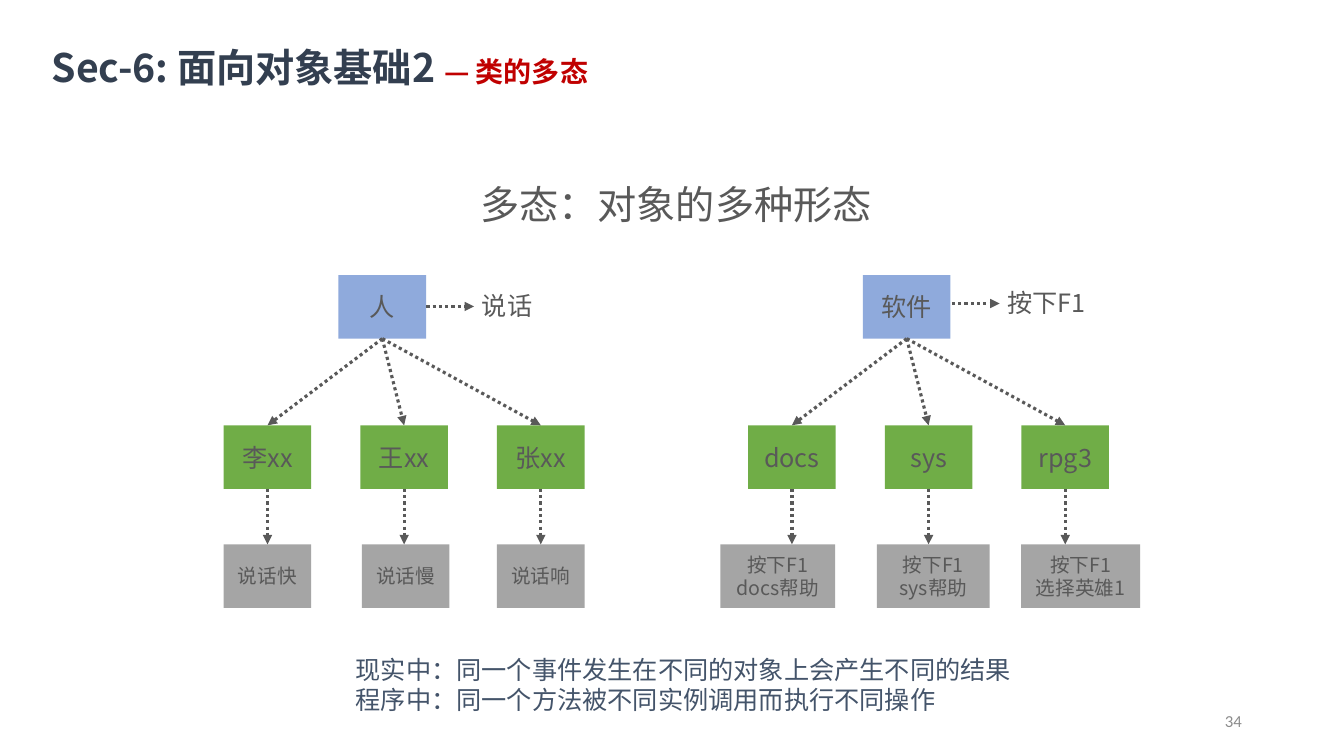
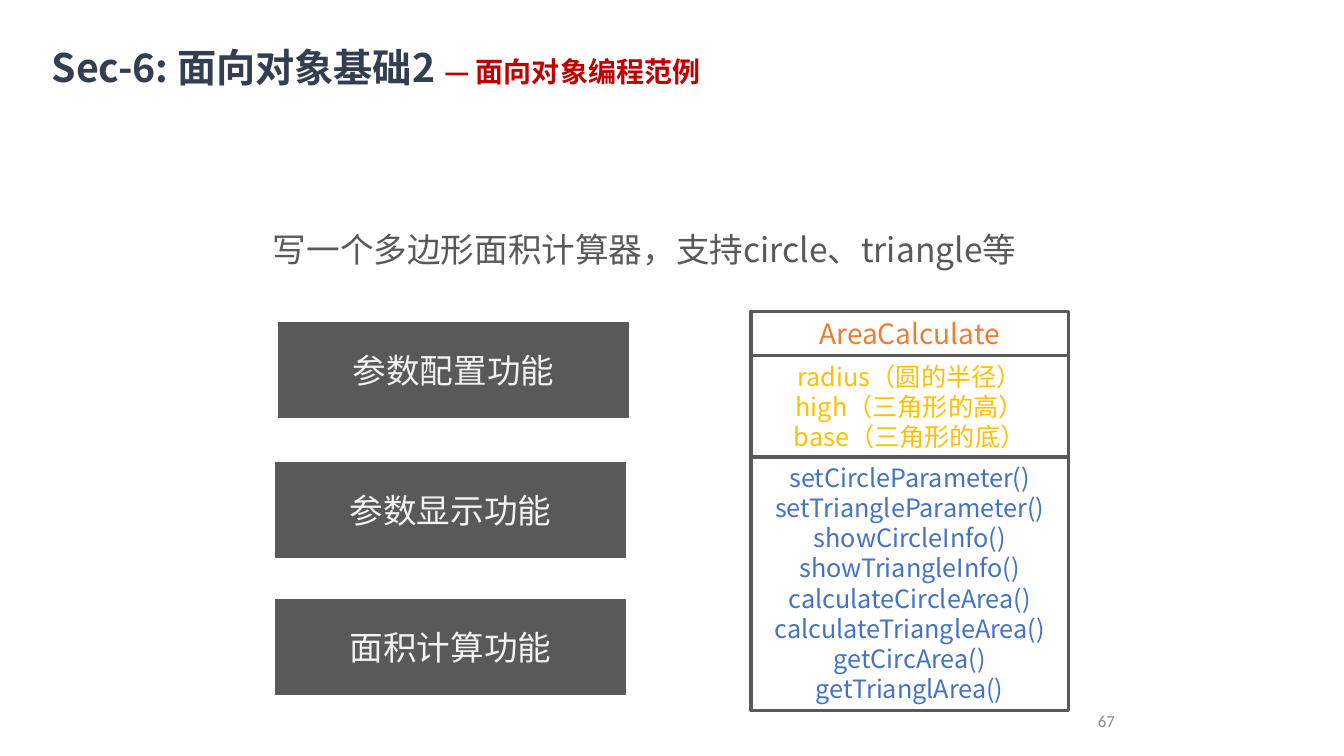
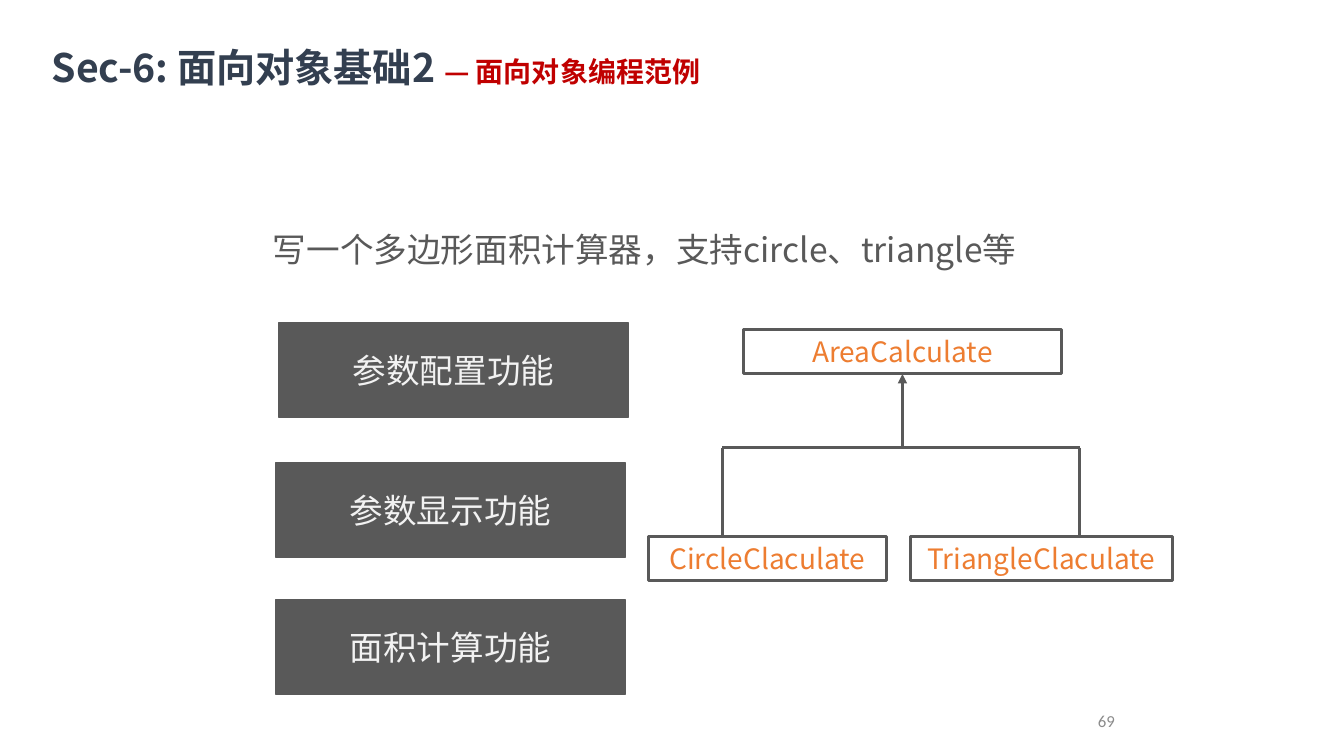
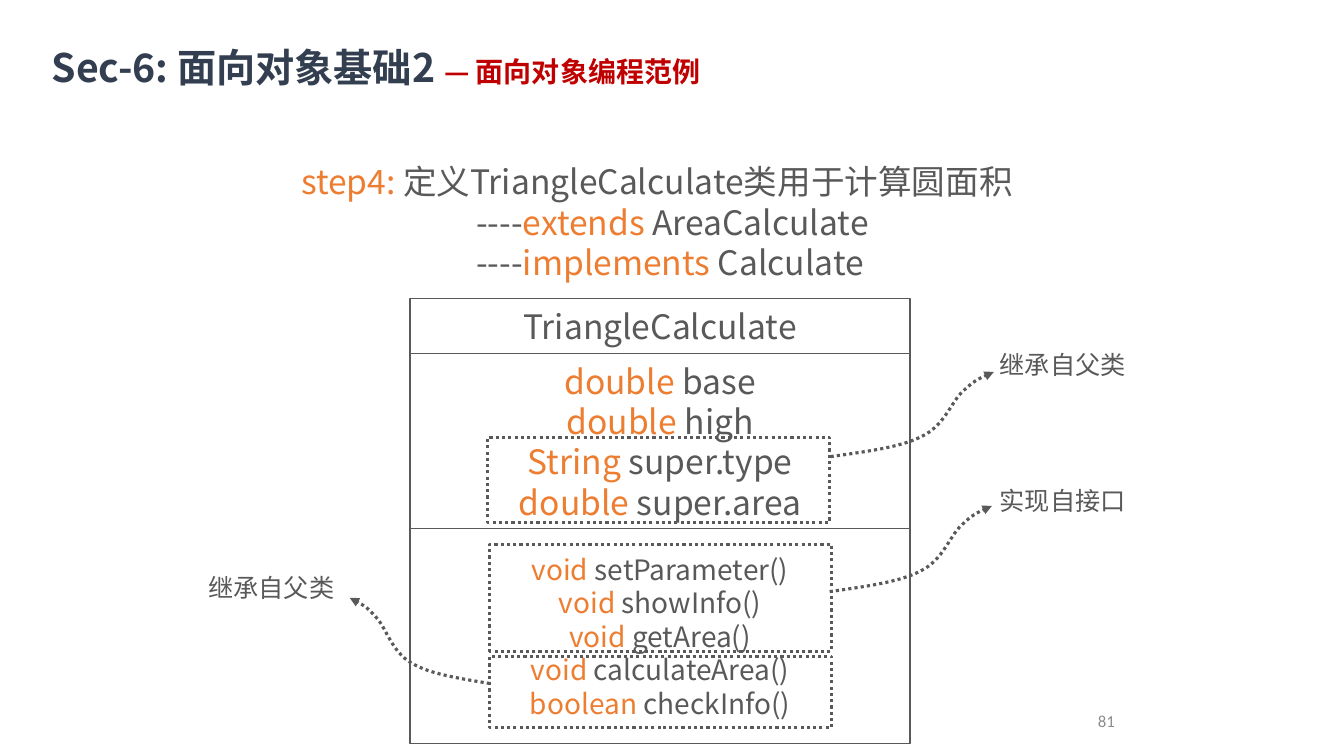
from dataclasses import dataclass
from typing import NamedTuple, Optional, Sequence, Union

from lxml import etree
from pptx import Presentation
from pptx.dml.color import RGBColor
from pptx.enum.dml import MSO_LINE
from pptx.enum.shapes import MSO_CONNECTOR, MSO_SHAPE
from pptx.enum.text import MSO_ANCHOR, PP_ALIGN
from pptx.oxml.ns import qn
from pptx.util import Pt

RECTANGLE = MSO_SHAPE.RECTANGLE
STRAIGHT = MSO_CONNECTOR.STRAIGHT
DOTTED = MSO_LINE.ROUND_DOT
LEFT, CENTER, RIGHT = PP_ALIGN.LEFT, PP_ALIGN.CENTER, PP_ALIGN.RIGHT
TOP, MIDDLE = MSO_ANCHOR.TOP, MSO_ANCHOR.MIDDLE

FONT = "Noto Sans CJK SC"
NUMBER_FONT = "Calibri"
COLORS = {
    "title": "333F50",
    "topic": "C00000",
    "text": "595959",
    "note": "44546A",
    "number": "8C8C8C",
    "light": "F2F2F2",
    "root": "8FAADC",
    "leaf": "70AD47",
    "result": "A5A5A5",
    "keyword": "ED7D31",
    "field": "FFC000",
    "method": "4472C4",
}


class Span(NamedTuple):
    text: str
    color: str = "text"
    size: Optional[float] = None


class Box(NamedTuple):
    left: float
    top: float
    width: float
    height: float


class Point(NamedTuple):
    x: float
    y: float


Line = Union[str, Sequence[Span]]


@dataclass
class Style:
    size: float
    color: str = "text"
    align: PP_ALIGN = CENTER
    anchor: MSO_ANCHOR = TOP
    font: str = FONT
    bold: bool = False


@dataclass
class Branch:
    name: str
    results: Sequence[str]
    result_left: float
    result_width: float


@dataclass
class Tree:
    root: str
    shift: float
    action: str
    arrow_start: float
    arrow_y: float
    branches: Sequence[Branch]


def rgb(name: str) -> RGBColor:
    return RGBColor.from_string(COLORS[name])


# Text and shapes
def write(shape, lines: Sequence[Line], style: Style) -> None:
    frame = shape.text_frame
    frame.word_wrap = True
    frame.vertical_anchor = style.anchor
    for index, line in enumerate(lines):
        paragraph = frame.paragraphs[0] if index == 0 else frame.add_paragraph()
        paragraph.alignment = style.align
        spans = [Span(line, style.color)] if isinstance(line, str) else line
        font = paragraph.font
        font.name, font.size, font.bold = style.font, Pt(style.size), style.bold
        font.color.rgb = rgb(spans[0].color)
        defaults = paragraph._p.pPr.find(qn("a:defRPr"))
        etree.SubElement(defaults, qn("a:ea")).set("typeface", style.font)
        for span in spans:
            run = paragraph.add_run()
            run.text = span.text
            if span.color != spans[0].color:
                run.font.color.rgb = rgb(span.color)
            if span.size:
                run.font.size = Pt(span.size)


def add_text(slide, box: Box, lines: Sequence[Line], style: Style):
    shape = slide.shapes.add_textbox(*map(Pt, box))
    write(shape, lines, style)
    return shape


def add_box(slide, box: Box, lines: Sequence[Line] = (), style: Style = Style(18),
            fill: Optional[str] = None, line: Optional[float] = None,
            dotted: bool = False) -> None:
    shape = slide.shapes.add_shape(RECTANGLE, *map(Pt, box))
    shape.shadow.inherit = False
    if fill:
        shape.fill.solid()
        shape.fill.fore_color.rgb = rgb(fill)
    else:
        shape.fill.background()
    if line:
        draw_line(shape, line, dotted)
    else:
        shape.line.fill.background()
    if lines:
        write(shape, lines, style)


def draw_line(shape, width: float = 2.25, dotted: bool = False, arrow: bool = False) -> None:
    shape.line.color.rgb = rgb("text")
    shape.line.width = Pt(width)
    if dotted:
        shape.line.dash_style = DOTTED
    if arrow:
        outline = shape.element.spPr.find(qn("a:ln"))
        etree.SubElement(outline, qn("a:tailEnd")).set("type", "triangle")


def connect(slide, start: Point, end: Point, dotted: bool = True, arrow: bool = True) -> None:
    connector = slide.shapes.add_connector(STRAIGHT, *map(Pt, (*start, *end)))
    draw_line(connector, dotted=dotted, arrow=arrow)
    etree.SubElement(connector.element.spPr, qn("a:effectLst"))


# Bezier points as fractions of the way from start to end
S_CURVE = [(0.22, 0.06), (0.43, 0.11), (0.56, 0.24), (0.7, 0.37), (0.74, 0.65),
           (0.81, 0.77), (0.88, 0.9), (0.94, 0.95), (1, 1)]


def add_curve(slide, start: Point, end: Point) -> None:
    points = [(Pt(start.x + (end.x - start.x) * across), Pt(start.y + (end.y - start.y) * down))
              for across, down in S_CURVE]
    builder = slide.shapes.build_freeform(Pt(start.x), Pt(start.y))
    builder.add_line_segments(points, close=False)
    shape = builder.convert_to_shape()
    # Every three straight segments become one cubic segment
    outline = next(shape.element.iter(qn("a:path")))
    segments = outline.findall(qn("a:lnTo"))
    for first in range(0, len(segments), 3):
        cubic = etree.SubElement(outline, qn("a:cubicBezTo"))
        for segment in segments[first:first + 3]:
            cubic.append(segment[0])
            outline.remove(segment)
    shape.shadow.inherit = False
    shape.fill.background()
    draw_line(shape, dotted=True, arrow=True)


# Title and page number of every slide
def new_slide(presentation, topic: str, number: str, number_right: float = 803.5):
    slide = presentation.slides.add_slide(presentation.slide_layouts[6])
    title = add_text(slide, Box(36, 30.2, 523.4, 34.6),
                     [[Span("Sec-6: 面向对象基础2 ", "title"), Span("— " + topic, "topic", 20)]],
                     Style(28, align=LEFT, bold=True))
    frame = title.text_frame
    frame.margin_left = frame.margin_top = Pt(0.9)
    frame.margin_right = frame.margin_bottom = 0
    add_text(slide, Box(number_right - 168, 500.4, 168, 28.8), [number],
             Style(12, "number", RIGHT, MIDDLE, NUMBER_FONT))
    return slide


# Slide 1: polymorphism trees
NODE_WIDTH, NODE_HEIGHT = 62.6, 45.4
ROOT_LEFT, ROOT_TOP = 241.8, 196.5
LEAF_LEFT, LEAF_TOP, LEAF_STEP = 159.8, 303.8, 97.6
RESULT_TOP = 388.8
TREES = [
    Tree("人", 0, "说话", 304.6, 218.9, [
        Branch("李xx", ["说话快"], 159.8, NODE_WIDTH),
        Branch("王xx", ["说话慢"], 258.5, NODE_WIDTH),
        Branch("张xx", ["说话响"], 355, NODE_WIDTH)]),
    Tree("软件", 374.6, "按下F1", 680, 216.8, [
        Branch("docs", ["按下F1", "docs帮助"], 514.6, 82),
        Branch("sys", ["按下F1", "sys帮助"], 626.4, 80.6),
        Branch("rpg3", ["按下F1", "选择英雄1"], 729.4, 85)]),
]


def draw_tree(slide, tree: Tree) -> None:
    node_style = Style(18, anchor=MIDDLE)
    root = Box(ROOT_LEFT + tree.shift, ROOT_TOP, NODE_WIDTH, NODE_HEIGHT)
    add_box(slide, root, [tree.root], node_style, "root")
    root_foot = Point(root.left + NODE_WIDTH / 2, ROOT_TOP + NODE_HEIGHT)
    for index, branch in enumerate(tree.branches):
        left = LEAF_LEFT + tree.shift + index * LEAF_STEP
        center = left + NODE_WIDTH / 2
        add_box(slide, Box(left, LEAF_TOP, NODE_WIDTH, NODE_HEIGHT), [branch.name],
                node_style, "leaf")
        add_box(slide, Box(branch.result_left, RESULT_TOP, branch.result_width, NODE_HEIGHT),
                branch.results, Style(14, anchor=MIDDLE), "result")
        connect(slide, root_foot, Point(center, LEAF_TOP))
        connect(slide, Point(center, LEAF_TOP + NODE_HEIGHT), Point(center, RESULT_TOP))
    arrow_end = Point(tree.arrow_start + 34, tree.arrow_y)
    connect(slide, Point(tree.arrow_start, tree.arrow_y), arrow_end)
    add_text(slide, Box(arrow_end.x - 1.4, tree.arrow_y - 14.8, 79.2, 28.8), [tree.action],
             Style(18, align=LEFT))


def polymorphism_slide(presentation) -> None:
    slide = new_slide(presentation, "类的多态", "34", 894.2)
    add_text(slide, Box(281.5, 125.3, 402.5, 41), ["多态：对象的多种形态"], Style(28))
    for tree in TREES:
        draw_tree(slide, tree)
    add_text(slide, Box(247, 463.7, 516.2, 51.1),
             ["现实中：同一个事件发生在不同的对象上会产生不同的结果",
              "程序中：同一个方法被不同实例调用而执行不同操作"],
             Style(18, "note", LEFT))


# Slides 2 and 3: area calculator
EXAMPLE_TOPIC = "面向对象编程范例"
FEATURES = [
    ("参数配置功能", Point(199.4, 230.4)),
    ("参数显示功能", Point(197.3, 330.5)),
    ("面积计算功能", Point(197.3, 428.4)),
]
CLASS_STYLE = Style(20, "keyword")


def calculator_slide(presentation, number: str):
    slide = new_slide(presentation, EXAMPLE_TOPIC, number)
    add_text(slide, Box(168.5, 159.8, 584, 36),
             ["写一个多边形面积计算器，支持circle、triangle等"], Style(24))
    for name, corner in FEATURES:
        add_box(slide, Box(*corner, 249.1, 67.7), [name],
                Style(24, "light", anchor=MIDDLE), "text", 1)
    return slide


def single_class_slide(presentation) -> None:
    slide = calculator_slide(presentation, "67")
    sections = [
        (222.5, 31.7, CLASS_STYLE, ["AreaCalculate"]),
        (254.2, 72.4, Style(18, "field"),
         ["radius（圆的半径）", "high（三角形的高）", "base（三角形的底）"]),
        (326.4, 181.4, Style(18, "method"),
         ["setCircleParameter()", "setTriangleParameter()", "showCircleInfo()",
          "showTriangleInfo()", "calculateCircleArea()", "calculateTriangleArea()",
          "getCircArea()", "getTrianglArea()"]),
    ]
    for top, height, style, lines in sections:
        add_box(slide, Box(536.4, top, 226.8, height), lines, style, line=2.25)


def inheritance_slide(presentation) -> None:
    slide = calculator_slide(presentation, "69")
    class_height, parent_top, child_top = 31.7, 235.4, 383
    parent_x, bar_y, bar_left, bar_right = 644.6, 319.7, 515.8, 771.1
    for name, left, top, width in [("AreaCalculate", 531.2, parent_top, 226.8),
                                   ("CircleClaculate", 463, child_top, 170),
                                   ("TriangleClaculate", 650.2, child_top, 187.2)]:
        add_box(slide, Box(left, top, width, class_height), [name], CLASS_STYLE, line=2.25)
    connect(slide, Point(parent_x, bar_y), Point(parent_x, parent_top + class_height), dotted=False)
    connect(slide, Point(bar_left, bar_y), Point(bar_right, bar_y), dotted=False, arrow=False)
    for x in (bar_left, bar_right):
        connect(slide, Point(x, bar_y), Point(x, child_top), dotted=False, arrow=False)


# Slide 4: members of the triangle class
def member(keyword: str, name: str) -> Line:
    return [Span(keyword + " ", "keyword"), Span(name)]


def triangle_class_slide(presentation) -> None:
    slide = new_slide(presentation, EXAMPLE_TOPIC, "81")
    step = add_text(slide, Box(208.1, 111.6, 544.3, 94.3), [
        [Span("step4: ", "keyword"), Span("定义TriangleCalculate类用于计算圆面积")],
        [Span("----"), Span("extends ", "keyword"), Span("AreaCalculate")],
        [Span("----"), Span("implements", "keyword"), Span(" Calculate")],
    ], Style(24, align=LEFT))
    for paragraph in step.text_frame.paragraphs[1:]:
        paragraph._p.pPr.set("marL", str(Pt(125)))

    sections = [
        (213.1, 39.6, 24, ["TriangleCalculate"]),
        (252.7, 124.8, 24, [member("double", "base"), member("double", "high"),
                            member("String", "super.type"), member("double", "super.area")]),
        (377.6, 153.6, 20, [member("void", "setParameter()"), member("void", "showInfo()"),
                            member("void", "getArea()"), member("void", "calculateArea()"),
                            member("boolean", "checkInfo()")]),
    ]
    for top, height, size, lines in sections:
        add_box(slide, Box(293, top, 357.1, height), lines, Style(size, anchor=MIDDLE), line=1)

    for left, top, height in [(348.5, 312.5, 60.5), (349.9, 388.8, 76.3), (349.9, 468.7, 51.1)]:
        add_box(slide, Box(left, top, 244.1, height), line=2.25, dotted=True)

    for start, end, label, corner in [
        (Point(593.3, 326.2), Point(709.9, 265.7), "继承自父类", Point(707, 246.2)),
        (Point(592.6, 422.6), Point(708.5, 361.4), "实现自接口", Point(707, 343.4)),
        (Point(349.9, 488.2), Point(249.8, 427), "继承自父类", Point(141.8, 405.4)),
    ]:
        add_curve(slide, start, end)
        add_text(slide, Box(*corner, 108, 28.8), [label], Style(18, align=LEFT))


def main() -> None:
    presentation = Presentation()
    presentation.slide_width, presentation.slide_height = Pt(960), Pt(540)
    polymorphism_slide(presentation)
    single_class_slide(presentation)
    inheritance_slide(presentation)
    triangle_class_slide(presentation)
    presentation.save("out.pptx")


if __name__ == "__main__":
    main()
